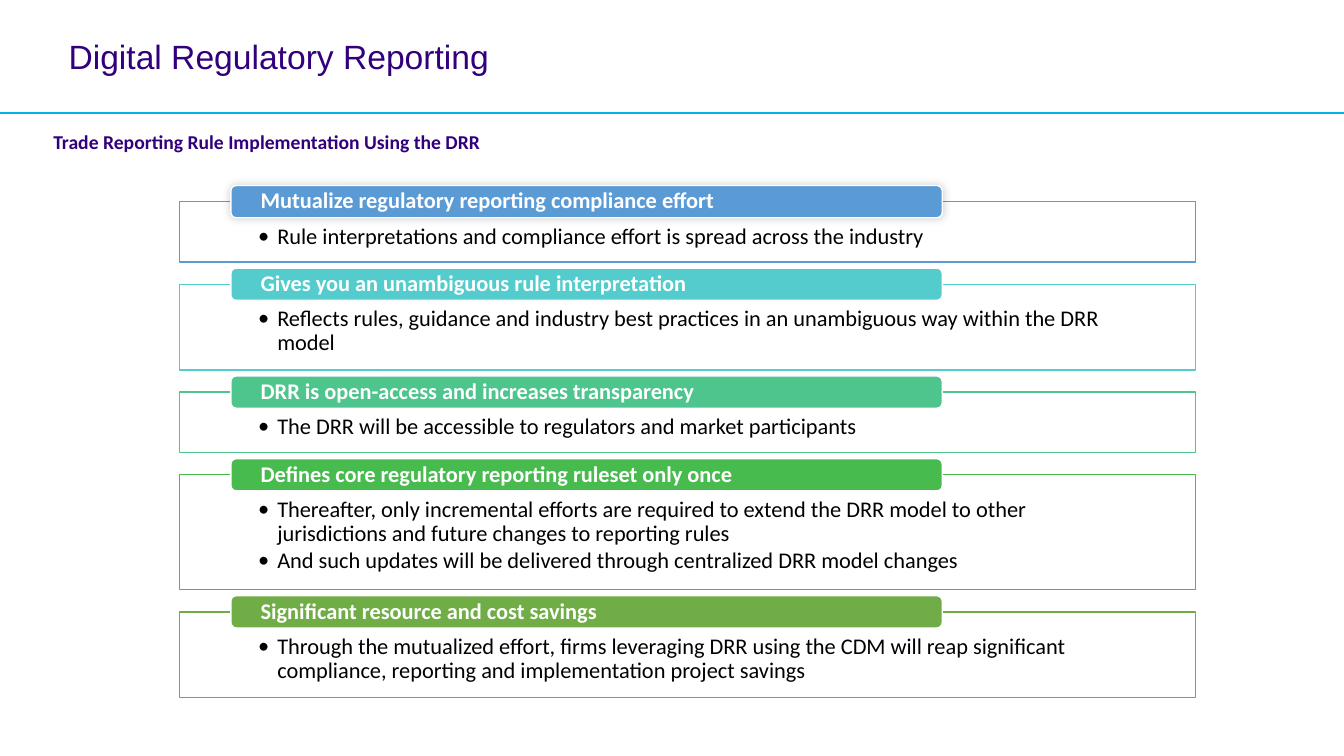
from dataclasses import dataclass

from pptx import Presentation
from pptx.dml.color import RGBColor
from pptx.enum.shapes import MSO_CONNECTOR, MSO_SHAPE
from pptx.enum.text import MSO_ANCHOR, MSO_AUTO_SIZE, PP_ALIGN
from pptx.oxml.xmlchemy import OxmlElement
from pptx.util import Inches, Pt


@dataclass(frozen=True)
class Theme:
    """Colours, fonts and type sizes of the slide."""
    title: str = "32007C"
    rule: str = "00B5E2"
    white: str = "FFFFFF"
    black: str = "000000"
    panels: tuple = ("5B9BD5", "54CCCD", "4DC58D", "48BB4F", "70AD47")
    title_font: str = "Arial"
    body_font: str = "Calibri"
    title_size: int = 24
    subtitle_size: int = 14
    panel_size: int = 16


T = Theme()
WIDTH = 13.33
PANEL_GAP = 0.22
BENEFITS = [
    ("Mutualize regulatory reporting compliance effort", 0.6,
     ["Rule interpretations and compliance effort is spread across the industry"]),
    ("Gives you an unambiguous rule interpretation", 0.85,
     ["Reflects rules, guidance and industry best practices in an unambiguous way "
      "within the DRR model"]),
    ("DRR is open-access and increases transparency", 0.6,
     ["The DRR will be accessible to regulators and market participants"]),
    ("Defines core regulatory reporting ruleset only once", 1.14,
     ["Thereafter, only incremental efforts are required to extend the DRR model to "
      "other jurisdictions and future changes to reporting rules",
      "And such updates will be delivered through centralized DRR model changes"]),
    ("Significant resource and cost savings", 0.85,
     ["Through the mutualized effort, firms leveraging DRR using the CDM will reap "
      "significant compliance, reporting and implementation project savings"]),
]


def rgb(color):
    """Turn a hex string into a colour."""
    return RGBColor.from_string(color)


def add_xml(parent, tag, **attrs):
    """Append a child element with the given attributes and return it."""
    el = OxmlElement(tag)
    for key, value in attrs.items():
        el.set(key, str(value))
    parent.append(el)
    return el


def set_frame(tf, anchor, left=0, top=0, right=0, bottom=0):
    """Set wrapping, anchor and insets of a text frame."""
    tf.word_wrap = True
    tf.auto_size = MSO_AUTO_SIZE.NONE
    tf.vertical_anchor = anchor
    tf.margin_left, tf.margin_right = Inches(left), Inches(right)
    tf.margin_top, tf.margin_bottom = Inches(top), Inches(bottom)


def style(p, font, size, color, bold=False, spacing=0.9):
    """Format a left-aligned paragraph."""
    p.alignment = PP_ALIGN.LEFT
    p.line_spacing = spacing
    p.font.name, p.font.size, p.font.bold = font, Pt(size), bold
    p.font.color.rgb = rgb(color)


def add_box(s, kind, x, y, w, h, fill, line):
    """Add a filled, outlined shape without a shadow."""
    sp = s.shapes.add_shape(kind, Inches(x), Inches(y), Inches(w), Inches(h))
    sp.shadow.inherit = False
    sp.fill.solid()
    sp.fill.fore_color.rgb = rgb(fill)
    sp.line.color.rgb = rgb(line)
    sp.line.width = Pt(1)
    return sp


def add_header(s, x, y, w, h):
    """Fill the title, the full-width rule and the subtitle."""
    title = s.shapes.title
    title.left, title.top = Inches(x + 0.68), Inches(y + 0.11)
    title.width, title.height = Inches(8.6), Inches(0.95)
    title.text = "Digital Regulatory Reporting"
    set_frame(title.text_frame, MSO_ANCHOR.MIDDLE)
    style(title.text_frame.paragraphs[0], T.title_font, T.title_size, T.title)

    rule = s.shapes.add_connector(MSO_CONNECTOR.STRAIGHT, Inches(x), Inches(y + h),
                                  Inches(x + w), Inches(y + h))
    rule.line.color.rgb = rgb(T.rule)
    rule.line.width = Pt(1)
    add_xml(rule._element.spPr, "a:effectLst")

    sub = s.shapes.add_textbox(Inches(x + 0.43), Inches(y + h + 0.12),
                               Inches(4.58), Inches(0.34))
    set_frame(sub.text_frame, MSO_ANCHOR.TOP, 0.1, 0.05, 0.1, 0.05)
    p = sub.text_frame.paragraphs[0]
    p.text = "Trade Reporting Rule Implementation Using the DRR"
    style(p, T.body_font, T.subtitle_size, T.title, True, 1.0)


def add_panel(s, x, y, w, h, color, heading, bullets):
    """Draw an outlined bullet panel with a heading tab on its top edge."""
    panel = add_box(s, MSO_SHAPE.RECTANGLE, x, y, w, h, T.white, color)
    fill = panel._element.spPr.find(".//{*}solidFill/{*}srgbClr")
    add_xml(fill, "a:alpha", val=90000)
    tf = panel.text_frame
    set_frame(tf, MSO_ANCHOR.TOP, 0.78, 0.23, 0.78, 0.12)
    for i, bullet in enumerate(bullets):
        p = tf.paragraphs[0] if i == 0 else tf.add_paragraph()
        p.text = bullet
        p.level = 1
        pPr = p._p.get_or_add_pPr()
        pPr.set("marL", str(Inches(0.19)))
        pPr.set("indent", str(-Inches(0.19)))
        add_xml(pPr, "a:buFont", typeface=T.body_font)
        add_xml(pPr, "a:buChar", char="•")
        style(p, T.body_font, T.panel_size, T.black)
        p.space_after = Pt(2.4)

    tab = add_box(s, MSO_SHAPE.ROUNDED_RECTANGLE, x + 0.51, y - 0.16, 0.7 * w, 0.32,
                  color, T.white)
    set_frame(tab.text_frame, MSO_ANCHOR.MIDDLE, 0.28, 0, 0.28, 0)
    p = tab.text_frame.paragraphs[0]
    p.text = heading
    style(p, T.body_font, T.panel_size, T.white, True)
    return tab


def add_glow(sp):
    """Give a shape a soft, centred shadow."""
    effects = sp._element.spPr.find("{*}effectLst")
    shadow = add_xml(effects, "a:outerShdw", blurRad=Pt(6), dist=0, rotWithShape=0)
    color = add_xml(shadow, "a:srgbClr", val=T.black)
    add_xml(color, "a:alpha", val=20000)


def add_benefits(s, x, y, w):
    """Stack the benefit panels at equal gaps and highlight the first."""
    tabs = []
    for color, (heading, h, bullets) in zip(T.panels, BENEFITS):
        tabs.append(add_panel(s, x, y, w, h, color, heading, bullets))
        y += h + PANEL_GAP
    add_glow(tabs[0])


def main():
    """Build and save the slide."""
    prs = Presentation()
    prs.slide_width, prs.slide_height = Inches(WIDTH), Inches(7.5)
    s = prs.slides.add_slide(prs.slide_layouts[5])
    add_header(s, 0, 0, WIDTH, 1.12)
    add_benefits(s, 1.78, 2, 10.08)
    prs.save("out.pptx")


if __name__ == "__main__":
    main()
